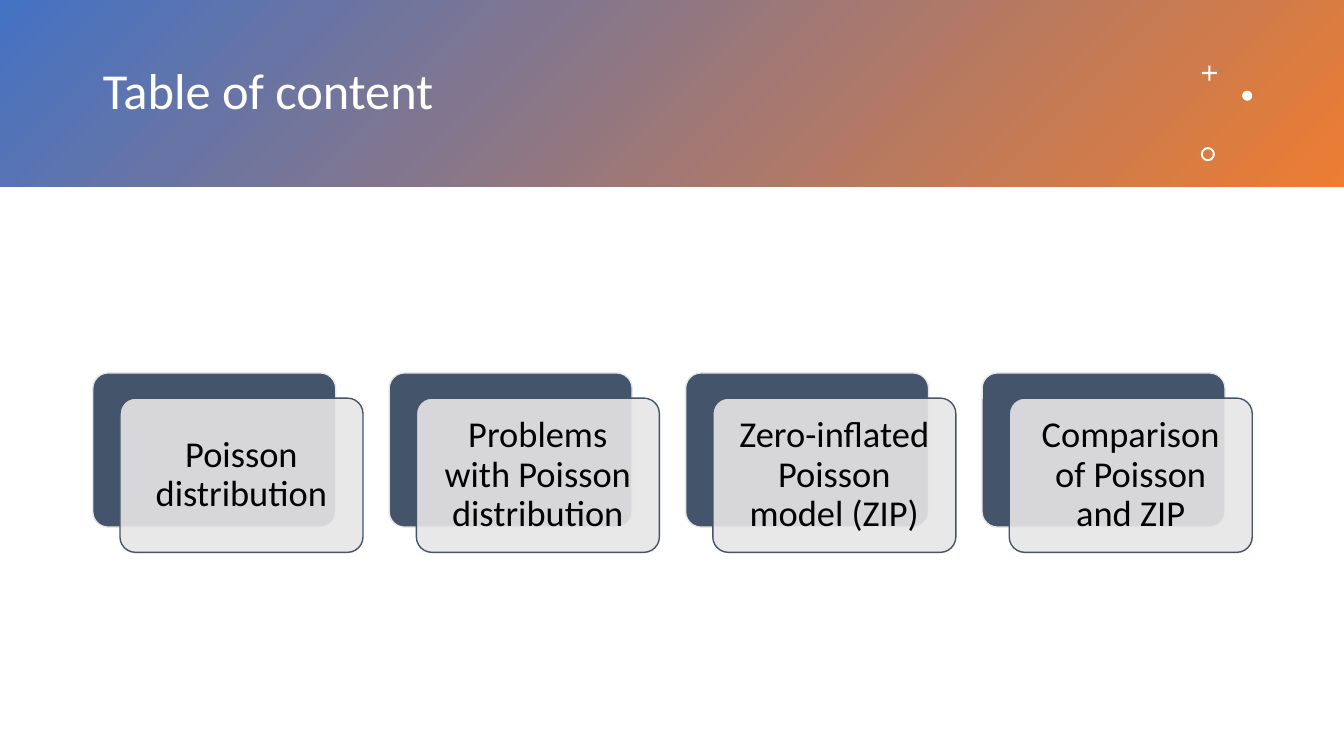
from lxml import etree
from pptx import Presentation
from pptx import util as u
from pptx.dml.color import RGBColor
from pptx.enum import shapes, text
from pptx.oxml import ns

# Content
TITLE = "Table of content"
TOPICS = [
    "Poisson distribution",
    "Problems with Poisson distribution",
    "Zero-inflated Poisson model (ZIP)",
    "Comparison of Poisson and ZIP",
]
COLORS = {
    "blue": "4472C4", "orange": "ED7D31", "slate": "44546A",
    "mist": "E7E6E6", "white": "FFFFFF", "black": "000000",
}
FONT = "Calibri"
PRESET = shapes.MSO_SHAPE

# Header ornaments: preset, left, top, size, adjustment
ORNAMENTS = [
    (PRESET.CROSS, 11.92, 0.65, 0.15, 0.43),
    (PRESET.OVAL, 12.32, 0.9, 0.1, None),
    (PRESET.DONUT, 11.91, 1.46, 0.14, 0.14),
]

# Layout in inches
SLIDE_WIDTH, SLIDE_HEIGHT = 13.33, 7.5
BAND_HEIGHT = 1.85
MARGIN, CARD_TOP, COLUMN_STEP = 0.92, 3.7, 2.94
CARD_WIDTH, CARD_HEIGHT = 2.41, 1.53
SHIFT_X, SHIFT_Y = 0.27, 0.25
INSET = 0.11


def rgb(name):
    return RGBColor.from_string(COLORS[name])


def add_preset(slide, preset, box, fill=None, line=None, adjustment=None):
    shape = slide.shapes.add_shape(preset, *(u.Inches(value) for value in box))
    shape.shadow.inherit = False
    if fill:
        shape.fill.solid()
        shape.fill.fore_color.rgb = rgb(fill)
    if line:
        shape.line.color.rgb = rgb(line)
        shape.line.width = u.Pt(1)
    else:
        shape.line.fill.background()
    if adjustment is not None:
        shape.adjustments[0] = adjustment
    return shape


def set_opacity(shape, percent):
    color = shape.fill._xPr.find(ns.qn("a:solidFill"))[0]
    etree.SubElement(color, ns.qn("a:alpha"), val=str(percent * 1000))


def write(shape, words, size, color, alignment):
    frame = shape.text_frame
    frame.text = words
    frame.word_wrap = True
    frame.auto_size = text.MSO_AUTO_SIZE.NONE
    frame.vertical_anchor = text.MSO_ANCHOR.MIDDLE
    paragraph = frame.paragraphs[0]
    paragraph.alignment = alignment
    paragraph.line_spacing = 0.9
    font = paragraph.runs[0].font
    font.name, font.size, font.color.rgb = FONT, u.Pt(size), rgb(color)
    return frame


def add_header(slide):
    # Gradient band behind the title
    band = add_preset(slide, PRESET.RECTANGLE, (0, 0, SLIDE_WIDTH, BAND_HEIGHT))
    band.fill.gradient()
    band.fill.gradient_angle = 315
    for stop, name in zip(band.fill.gradient_stops, ("blue", "orange")):
        stop.color.rgb = rgb(name)
    title = slide.shapes.title
    title._element.addprevious(band._element)

    # Title
    title.left, title.top = u.Inches(MARGIN), u.Inches(0.33)
    title.width, title.height = u.Inches(10.75), u.Inches(1.19)
    write(title, TITLE, 36, "white", text.PP_ALIGN.LEFT)

    # Ornaments
    for preset, left, top, size, adjustment in ORNAMENTS:
        add_preset(slide, preset, (left, top, size, size), "white",
                   adjustment=adjustment)


def add_topic(slide, column, words):
    left = MARGIN + column * COLUMN_STEP
    size = (CARD_WIDTH, CARD_HEIGHT)
    add_preset(slide, PRESET.ROUNDED_RECTANGLE, (left, CARD_TOP, *size),
               "slate", "mist", 0.1)
    card = add_preset(slide, PRESET.ROUNDED_RECTANGLE,
                      (left + SHIFT_X, CARD_TOP + SHIFT_Y, *size),
                      "mist", "slate", 0.1)
    set_opacity(card, 90)
    frame = write(card, words, 26, "black", text.PP_ALIGN.CENTER)
    frame.margin_left = frame.margin_right = u.Inches(INSET)
    frame.margin_top = frame.margin_bottom = u.Inches(INSET)


def main():
    presentation = Presentation()
    presentation.slide_width = u.Inches(SLIDE_WIDTH)
    presentation.slide_height = u.Inches(SLIDE_HEIGHT)
    title_only = presentation.slide_layouts.get_by_name("Title Only")
    slide = presentation.slides.add_slide(title_only)
    slide.background.fill.solid()
    slide.background.fill.fore_color.rgb = rgb("white")
    add_header(slide)
    for column, words in enumerate(TOPICS):
        add_topic(slide, column, words)
    presentation.save("out.pptx")


if __name__ == "__main__":
    main()
